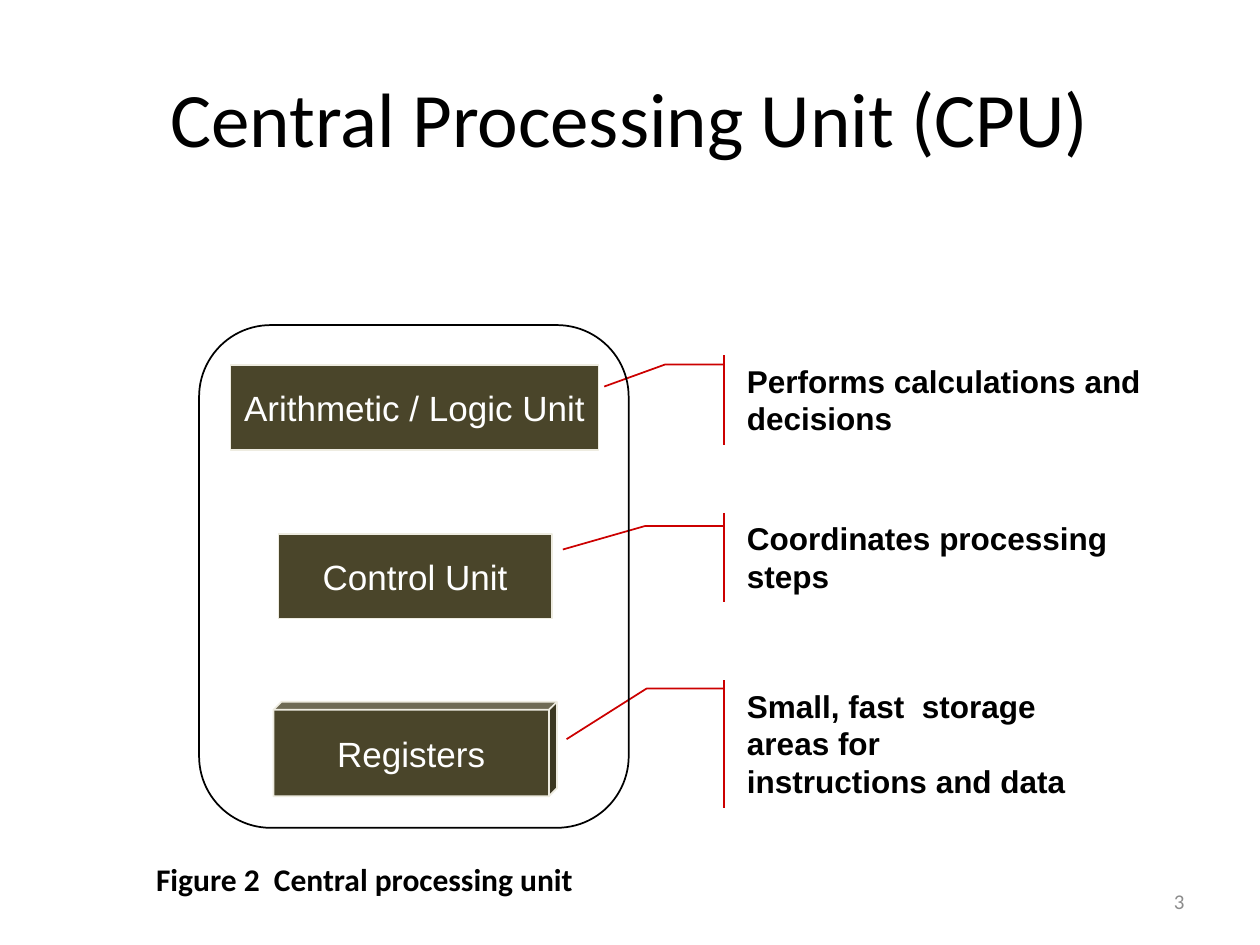
from dataclasses import dataclass

from pptx import Presentation
from pptx.dml.color import RGBColor
from pptx.enum.shapes import MSO_SHAPE as Preset
from pptx.enum.text import MSO_ANCHOR as Anchor, MSO_AUTO_SIZE as AutoSize, PP_ALIGN as Align
from pptx.util import Inches, Pt


@dataclass(frozen=True)
class Theme:
    heading_font: str = "Calibri"
    label_font: str = "Arial"
    title_size: int = 44
    unit_size: int = 20
    note_size: int = 18
    number_size: int = 12
    black: str = "000000"
    white: str = "FFFFFF"
    olive: str = "4A452A"
    cream: str = "EEECE1"
    red: str = "CC0000"
    gray: str = "8C8C8C"


THEME = Theme()

# Preset, position and size, adjustments, label
UNITS = [
    (Preset.RECTANGLE, (1.83, 2.9, 2.92, 0.67), (), "Arithmetic / Logic Unit"),
    (Preset.RECTANGLE, (2.21, 4.24, 2.17, 0.67), (), "Control Unit"),
    (Preset.CUBE, (2.17, 5.57, 2.25, 0.75), (0.085,), "Registers"),
]

# Top, width, height, leader line (y, x pairs as fractions of the box), text
CALLOUT_LEFT = 5.83
CALLOUTS = [
    (2.82, 3.83, 0.71, (0.103, -0.022, 0.103, -0.144, 0.349, -0.27),
     "Performs calculations and decisions"),
    (4.07, 3.26, 0.71, (0.148, -0.026, 0.148, -0.218, 0.41, -0.418),
     "Coordinates processing steps"),
    (5.4, 2.75, 1.01, (0.064, -0.03, 0.064, -0.254, 0.462, -0.485),
     "Small, fast  storage areas for instructions and data"),
]


def write_text(shape, text, font, size, color, bold=False,
               align=Align.LEFT, anchor=Anchor.TOP, wrap=True):
    frame = shape.text_frame
    frame.text = text
    frame.word_wrap = wrap
    frame.vertical_anchor = anchor
    paragraph = frame.paragraphs[0]
    paragraph.alignment = align
    paragraph.font.name = font
    paragraph.font.size = Pt(size)
    paragraph.font.bold = bold
    paragraph.font.color.rgb = RGBColor.from_string(color)


def add_outlined_shape(slide, preset, box, line, fill=None, adjustments=()):
    shape = slide.shapes.add_shape(preset, *map(Inches, box))
    shape.shadow.inherit = False
    for index, value in enumerate(adjustments):
        shape.adjustments[index] = value
    if fill:
        shape.fill.solid()
        shape.fill.fore_color.rgb = RGBColor.from_string(fill)
    else:
        shape.fill.background()
    shape.line.color.rgb = RGBColor.from_string(line)
    shape.line.width = Pt(1)
    return shape


def add_title(slide, text):
    title = slide.shapes.title
    title.left, title.top, title.width, title.height = map(Inches, (0.5, 0.3, 9, 1.25))
    write_text(title, text, THEME.heading_font, THEME.title_size, THEME.black,
               align=Align.CENTER, anchor=Anchor.MIDDLE)


def add_unit(slide, preset, box, adjustments, label):
    unit = add_outlined_shape(slide, preset, box, THEME.cream, THEME.olive, adjustments)
    write_text(unit, label, THEME.label_font, THEME.unit_size, THEME.white,
               align=Align.CENTER, anchor=Anchor.MIDDLE, wrap=False)


def add_callout(slide, top, width, height, leader, text):
    callout = add_outlined_shape(slide, Preset.LINE_CALLOUT_2_ACCENT_BAR,
                                 (CALLOUT_LEFT, top, width, height),
                                 THEME.red, THEME.white, leader)
    write_text(callout, text, THEME.label_font, THEME.note_size, THEME.black, bold=True)
    callout.text_frame.auto_size = AutoSize.SHAPE_TO_FIT_TEXT


def add_caption(slide, text):
    caption = slide.shapes.add_textbox(*map(Inches, (1.14, 6.78, 3.68, 0.4)))
    write_text(caption, text, THEME.heading_font, THEME.note_size, THEME.black,
               bold=True, wrap=False)
    caption.text_frame.auto_size = AutoSize.SHAPE_TO_FIT_TEXT


def add_page_number(slide, number):
    box = slide.shapes.add_textbox(*map(Inches, (7.17, 6.95, 2.33, 0.4)))
    write_text(box, number, THEME.heading_font, THEME.number_size, THEME.gray,
               align=Align.RIGHT, anchor=Anchor.MIDDLE)


def main():
    presentation = Presentation()
    presentation.slide_width, presentation.slide_height = Inches(10), Inches(7.5)
    slide = presentation.slides.add_slide(presentation.slide_layouts.get_by_name("Title Only"))
    add_title(slide, "Central Processing Unit (CPU)")

    # Units of the processor and what each one does
    for unit in UNITS:
        add_unit(slide, *unit)
    for callout in CALLOUTS:
        add_callout(slide, *callout)

    # Processor outline around the units
    add_outlined_shape(slide, Preset.ROUNDED_RECTANGLE, (1.58, 2.58, 3.41, 3.99),
                       THEME.black, adjustments=(0.167,))

    # Caption and page number
    add_caption(slide, "Figure 2  Central processing unit")
    add_page_number(slide, "3")
    presentation.save("out.pptx")


if __name__ == "__main__":
    main()
